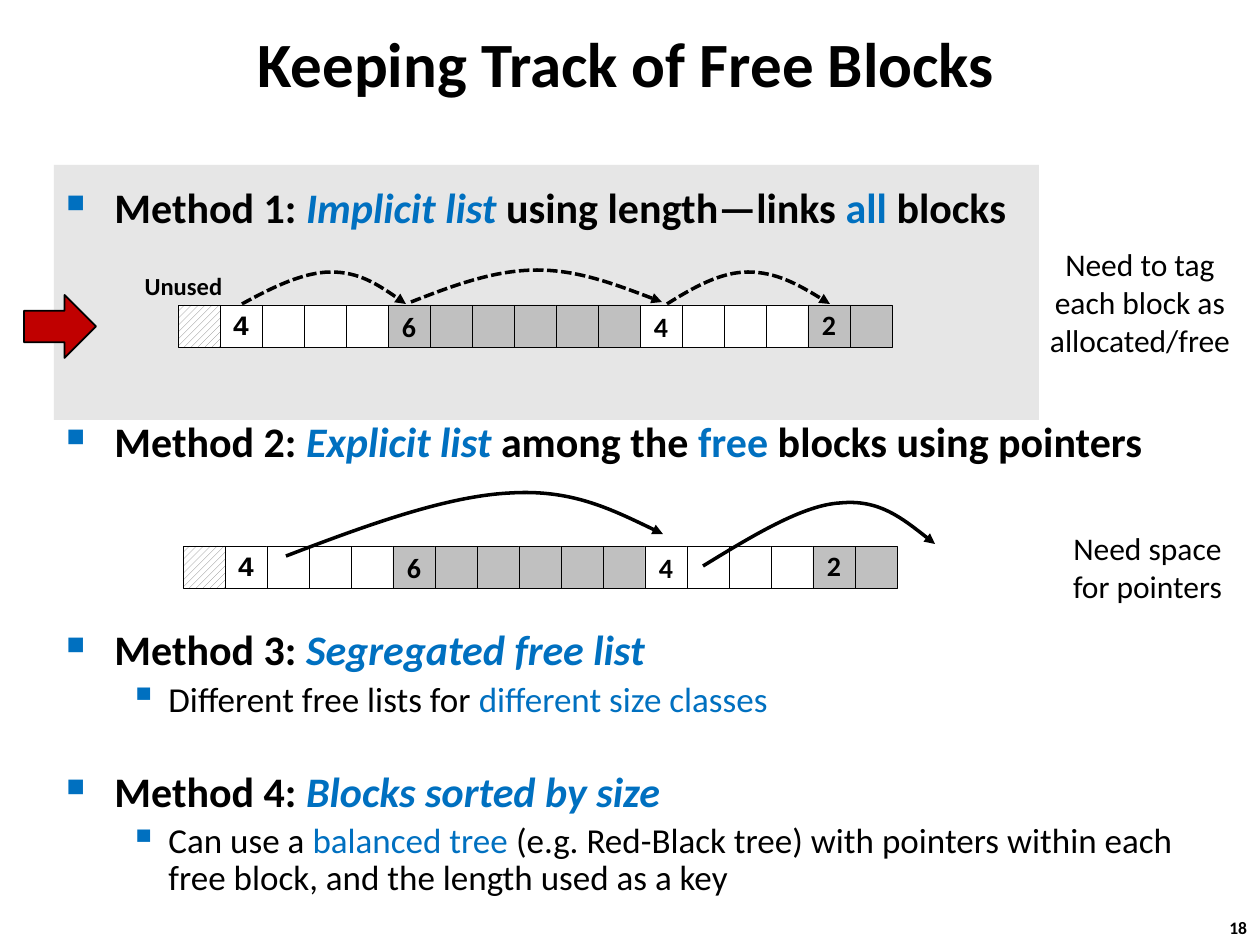
"""Builds the slide on four ways of keeping track of free blocks."""
import pptx
import pptx.dml.color
import pptx.enum.dml
import pptx.enum.shapes
import pptx.enum.text
import pptx.oxml
import pptx.oxml.ns
import pptx.util

SCALE = 914400 / 126
COLOURS = {"black": "000000", "white": "FFFFFF", "blue": "0070C0", "panel": "E6E6E6",
           "allocated": "C0C0C0", "hatch": "808080", "marker": "C00000"}
ALIGN = pptx.enum.text.PP_ALIGN
ANCHOR = pptx.enum.text.MSO_ANCHOR
SHAPE = pptx.enum.shapes.MSO_SHAPE
qn = pptx.oxml.ns.qn


def px(length):
    return pptx.util.Emu(round(length * SCALE))


def rgb(name):
    return pptx.dml.color.RGBColor.from_string(COLOURS[name])


def element(tag, **attributes):
    node = pptx.oxml.parse_xml(f"<a:{tag} {pptx.oxml.ns.nsdecls('a')}/>")
    for key, value in attributes.items():
        node.set(key, str(value))
    return node


def write(paragraph, text, size=18, colour="black", bold=False, italic=False, font="Calibri"):
    run = paragraph.add_run()
    run.text = text
    run.font.size = pptx.util.Pt(size)
    run.font.color.rgb = rgb(colour)
    run.font.bold = bold
    run.font.italic = italic
    run.font.name = font


class SlideBuilder:
    def __init__(self, slide):
        self.slide = slide
        self.cell = 42

    def frame(self, left, top, width, height, wrap=False, anchor=ANCHOR.TOP):
        frame = self.slide.shapes.add_textbox(px(left), px(top), px(width), px(height)).text_frame
        frame.word_wrap = wrap
        frame.vertical_anchor = anchor
        return frame

    def label(self, lines, left, top, width, height, align=ALIGN.CENTER,
              anchor=ANCHOR.TOP, **style):
        frame = self.frame(left, top, width, height, anchor=anchor)
        for index, line in enumerate(lines):
            paragraph = frame.add_paragraph() if index else frame.paragraphs[0]
            paragraph.alignment = align
            write(paragraph, line, **style)

    def shape(self, kind, left, top, width, height, fill, line=None, shapes=None):
        shapes = shapes or self.slide.shapes
        shape = shapes.add_shape(kind, px(left), px(top), px(width), px(height))
        shape.shadow.inherit = False
        if fill == "hatch":
            shape.fill.patterned()
            shape.fill.pattern = pptx.enum.dml.MSO_PATTERN.WIDE_UPWARD_DIAGONAL
            shape.fill.fore_color.rgb = rgb("hatch")
            shape.fill.back_color.rgb = rgb("white")
        else:
            shape.fill.solid()
            shape.fill.fore_color.rgb = rgb(fill)
        if line:
            shape.line.color.rgb = rgb("black")
            shape.line.width = pptx.util.Pt(line)
        else:
            shape.line.fill.background()
        return shape

    def heap(self, left, top, blocks):
        group = self.slide.shapes.add_group_shape()
        for size, fill, number, font, spacing in blocks:
            for index in range(size):
                cell = self.shape(SHAPE.RECTANGLE, left, top, self.cell, self.cell,
                                  fill, 0.25, group.shapes)
                if number and index == 0:
                    frame = cell.text_frame
                    frame.word_wrap = False
                    frame.vertical_anchor = ANCHOR.MIDDLE
                    paragraph = frame.paragraphs[0]
                    paragraph.alignment = ALIGN.CENTER
                    paragraph.line_spacing = spacing
                    write(paragraph, number, size=16, bold=True, font=font)
                left += self.cell

    def curve(self, start, *points, dashed=False):
        builder = self.slide.shapes.build_freeform(*start, scale=SCALE)
        builder.add_line_segments(points, close=False)
        curve = builder.convert_to_shape()
        curve.shadow.inherit = False
        curve.fill.background()
        curve.line.color.rgb = rgb("black")
        curve.line.width = pptx.util.Pt(2)
        if dashed:
            curve.line.dash_style = pptx.enum.dml.MSO_LINE.SQUARE_DOT
        curve.line._get_or_add_ln().append(element("tailEnd", type="triangle"))
        outline = next(curve._element.iter(qn("a:path")))
        segments = outline.findall(qn("a:lnTo"))
        for first in range(0, len(segments), 3):
            bezier = element("cubicBezTo")
            for segment in segments[first:first + 3]:
                bezier.append(segment[0])
                outline.remove(segment)
            outline.append(bezier)

    def outline(self, items, left, top, width, height):
        frame = self.frame(left, top, width, height, wrap=True)
        for index, (level, before, spacing, runs) in enumerate(items):
            paragraph = frame.add_paragraph() if index else frame.paragraphs[0]
            paragraph.level = level
            paragraph.line_spacing = spacing
            paragraph.space_before = pptx.util.Pt(before)
            margin, indent, bullet, percent = [(48, 48, "■", 60), (102, 39, "▪", 110)][level]
            properties = paragraph._p.get_or_add_pPr()
            properties.set("marL", str(px(margin)))
            properties.set("indent", str(-px(indent)))
            tint = element("buClr")
            tint.append(element("srgbClr", val=COLOURS["blue"]))
            properties.extend([tint, element("buSzPct", val=percent * 1000),
                               element("buChar", char=bullet)])
            for text, colour, italic in runs:
                write(paragraph, text, size=20 if level else 24, bold=level == 0,
                      colour=colour, italic=italic)


def main():
    deck = pptx.Presentation()
    deck.slide_width, deck.slide_height = px(1260), px(945)
    page = SlideBuilder(deck.slides.add_slide(deck.slide_layouts[6]))

    page.label(["18"], 1217, 911, 47, 34, align=ALIGN.LEFT, size=10, bold=True)
    page.shape(SHAPE.RECTANGLE, 54, 165, 985, 255, "panel")
    page.label(["Keeping Track of Free Blocks"], 103, 10, 1046, 105,
               anchor=ANCHOR.MIDDLE, size=36, bold=True)
    page.outline([
        (0, 0, 1.0, [("Method 1: ", "black", False), ("Implicit list ", "blue", True),
                     ("using length—links ", "black", False), ("all", "blue", False),
                     (" blocks", "black", False)]),
        (0, 105, 1.0, [("Method 2: ", "black", False), ("Explicit list ", "blue", True),
                       ("among the ", "black", False), ("free", "blue", False),
                       (" blocks using pointers", "black", False)]),
        (0, 95, 0.83, [("Method 3: ", "black", False), ("Segregated free list", "blue", True)]),
        (1, 5, 0.88, [("Different free lists for ", "black", False),
                      ("different size classes", "blue", False)]),
        (0, 31, 0.83, [("Method 4: ", "black", False), ("Blocks sorted by size", "blue", True)]),
        (1, 5, 0.88, [("Can use a ", "black", False), ("balanced tree ", "blue", False),
                      ("(e.g. Red-Black tree) with pointers within each free block, "
                       "and the length used as a key", "black", False)]),
    ], 54, 175, 1143, 738)

    page.curve((242, 304), (273, 287), (304, 272), (331, 272),
               (359, 272), (382, 287), (406, 304), dashed=True)
    page.curve((411, 302), (452, 286), (494, 270), (537, 270),
               (578, 270), (620, 286), (662, 302), dashed=True)
    page.curve((667, 304), (694, 287), (721, 272), (748, 272),
               (776, 272), (803, 287), (830, 304), dashed=True)

    page.label(["Need to tag", "each block as", "allocated/free"], 1036, 239, 208, 127)
    page.label(["Need space", "for pointers"], 1057, 523, 181, 89)
    page.label(["Unused"], 126, 262, 115, 47, anchor=ANCHOR.MIDDLE, size=14, bold=True)

    blocks = [(1, "hatch", "", "Calibri", 1.0),
              (4, "white", "4", "Courier New", 0.94),
              (6, "allocated", "6", "Calibri", 1.0),
              (4, "white", "4", "Calibri", 1.0),
              (2, "allocated", "2", "Calibri", 0.98)]
    page.heap(178, 305, blocks)
    page.heap(183, 546, blocks)

    page.curve((286, 556), (367, 525), (447, 496), (510, 493),
               (572, 489), (617, 512), (663, 534))
    page.curve((703, 566), (752, 536), (803, 505), (840, 503),
               (879, 499), (907, 522), (935, 544))
    page.shape(SHAPE.RIGHT_ARROW, 24, 295, 72, 63, "marker", 1)
    deck.save("out.pptx")


if __name__ == "__main__":
    main()
